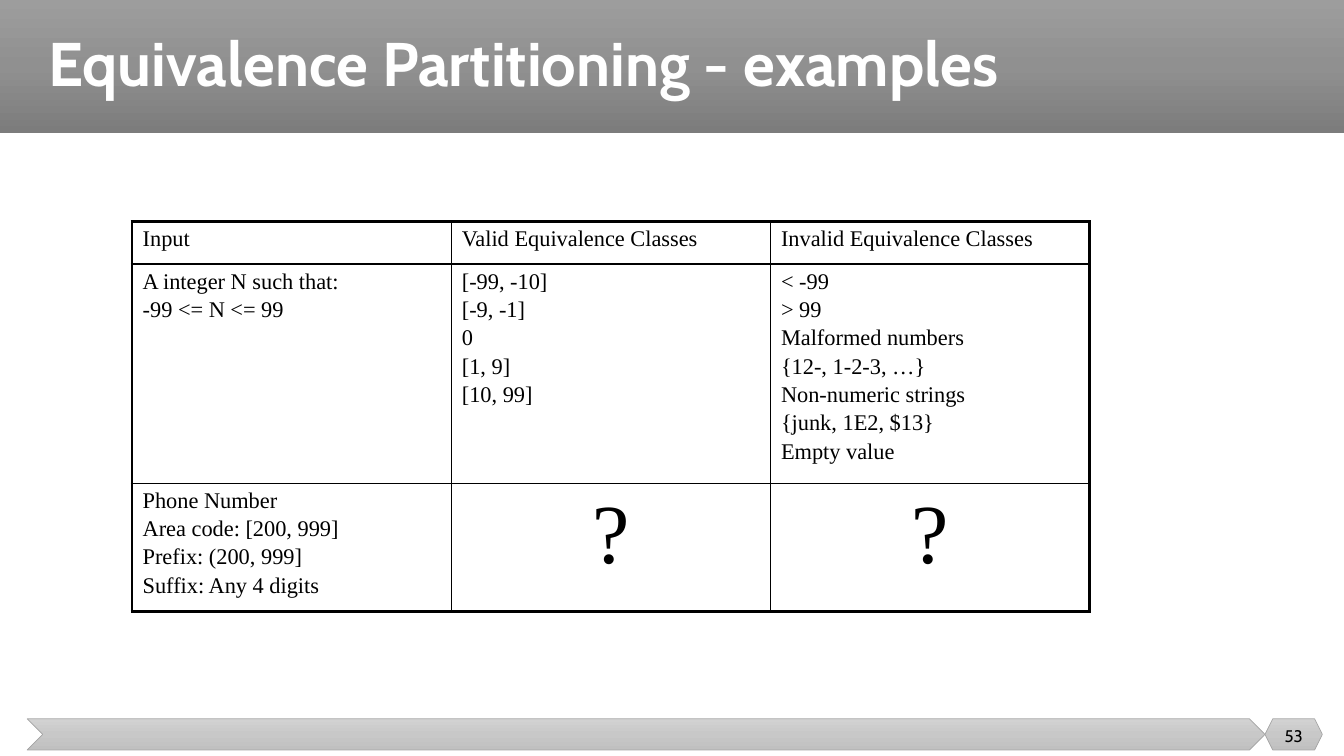
from dataclasses import dataclass

from lxml import etree
from pptx import Presentation
from pptx import util as u
from pptx.dml import color
from pptx.enum import shapes, text
from pptx.oxml import ns


@dataclass(frozen=True)
class Theme:
    title_font: str = "Cabin"
    table_font: str = "Times New Roman"
    white: str = "FFFFFF"
    black: str = "000000"
    outline: str = "A5A5A5"
    header_stops: tuple = ("9D9D9D", "909090", "7C7C7C")
    footer_stops: tuple = ("D2D2D2", "C8C8C8", "C0C0C0")
    title_size: float = 44
    table_size: float = 16
    question_size: float = 60
    number_size: float = 12
    thin: float = 1
    thick: float = 2.25


THEME = Theme()
PAGE_WIDTH, PAGE_HEIGHT = 960, 540

TABLE_ROWS = [
    ["Input", "Valid Equivalence Classes", "Invalid Equivalence Classes"],
    ["A integer N such that:\n-99 <= N <= 99",
     "[-99, -10]\n[-9, -1]\n0\n[1, 9]\n[10, 99]",
     "< -99\n> 99\nMalformed numbers\n{12-, 1-2-3, …}\n"
     "Non-numeric strings\n{junk, 1E2, $13}\nEmpty value"],
    ["Phone Number\nArea code: [200, 999]\nPrefix: (200, 999]\nSuffix: Any 4 digits",
     "?", "?"],
]
ROW_HEIGHTS = [30.24, 150.8, 87.8]


def write(frame, content, *, font, size, ink=THEME.black, bold=False,
          align=text.PP_ALIGN.LEFT, before=0, line=1.0):
    """Fill a text frame, one paragraph for each line of content."""
    frame.word_wrap = True
    for index, words in enumerate(content.split("\n")):
        para = frame.paragraphs[0] if index == 0 else frame.add_paragraph()
        para.alignment = align
        para.space_before = u.Pt(before)
        para.line_spacing = line
        span = para.add_run()
        span.text = words
        span.font.name = font
        span.font.size = u.Pt(size)
        span.font.bold = bold
        span.font.color.rgb = color.RGBColor.from_string(ink)


def add_text(page, box, content, **style):
    frame = page.shapes.add_textbox(*map(u.Pt, box)).text_frame
    frame.vertical_anchor = text.MSO_ANCHOR.MIDDLE
    write(frame, content, **style)


def add_band(page, kind, box, stops, outline=None):
    """Add a shape shaded from top to bottom through evenly spaced stops."""
    band = page.shapes.add_shape(kind, *map(u.Pt, box))
    band.shadow.inherit = False
    band.fill.gradient()
    band.fill.gradient_angle = 270
    stop_list = band.element.spPr.find(".//" + ns.qn("a:gsLst"))
    for old_stop in list(stop_list):
        stop_list.remove(old_stop)
    for index, shade in enumerate(stops):
        position = str(index * 100000 // (len(stops) - 1))
        stop = etree.SubElement(stop_list, ns.qn("a:gs"), pos=position)
        etree.SubElement(stop, ns.qn("a:srgbClr"), val=shade)
    if outline:
        band.line.color.rgb = color.RGBColor.from_string(outline)
        band.line.width = u.Pt(0.5)
    else:
        band.line.fill.background()


def set_borders(cell, widths):
    """Draw the left, right, top and bottom borders of a cell."""
    properties = cell._tc.get_or_add_tcPr()
    for index, (side, width) in enumerate(zip("LRTB", widths)):
        border = etree.Element(ns.qn("a:ln" + side), w=str(u.Pt(width)))
        fill = etree.SubElement(border, ns.qn("a:solidFill"))
        etree.SubElement(fill, ns.qn("a:srgbClr"), val=THEME.black)
        properties.insert(index, border)


def add_header(page, box, title):
    left, top, width, height = box
    add_band(page, shapes.MSO_SHAPE.RECTANGLE, box, THEME.header_stops)
    add_text(page, (left + 27.4, top, width - 42.7, height), title,
             font=THEME.title_font, size=THEME.title_size, ink=THEME.white,
             bold=True, line=0.9)


def add_class_table(page, box):
    left, top, width, height = box
    row_count, column_count = len(TABLE_ROWS), len(TABLE_ROWS[0])
    table = page.shapes.add_table(row_count, column_count, *map(u.Pt, box)).table
    table.first_row = table.horz_banding = False
    for column in table.columns:
        column.width = u.Pt(width / column_count)
    for r, contents in enumerate(TABLE_ROWS):
        table.rows[r].height = u.Pt(ROW_HEIGHTS[r])
        for c, content in enumerate(contents):
            cell = table.cell(r, c)
            cell.fill.background()
            cell.margin_left = cell.margin_right = u.Pt(7.6)
            cell.margin_top = cell.margin_bottom = u.Pt(3.6)
            question = content == "?"
            write(cell.text_frame, content, font=THEME.table_font,
                  size=THEME.question_size if question else THEME.table_size,
                  align=text.PP_ALIGN.CENTER if question else text.PP_ALIGN.LEFT,
                  before=2.5)
            outer = (c == 0, c == column_count - 1, r == 0, r == row_count - 1)
            set_borders(cell, [THEME.thick if edge else THEME.thin for edge in outer])


def add_footer(page, box, number):
    left, top, width, height = box
    badge_width = 41
    badge_left = left + width - badge_width
    add_band(page, shapes.MSO_SHAPE.CHEVRON, (left, top, width - badge_width, height),
             THEME.footer_stops, THEME.outline)
    add_band(page, shapes.MSO_SHAPE.HEXAGON, (badge_left, top, badge_width, height),
             THEME.footer_stops, THEME.outline)
    add_text(page, (badge_left, top - 2.2, badge_width, 28.8), number,
             font=THEME.title_font, size=THEME.number_size,
             align=text.PP_ALIGN.CENTER)


def main():
    deck = Presentation()
    deck.slide_width, deck.slide_height = u.Pt(PAGE_WIDTH), u.Pt(PAGE_HEIGHT)
    page = deck.slides.add_slide(deck.slide_layouts[6])
    add_header(page, (0, 0, PAGE_WIDTH, 95), "Equivalence Partitioning - examples")
    add_class_table(page, (94.3, 158.4, 684, sum(ROW_HEIGHTS)))
    add_footer(page, (19.4, 513.4, 925.2, 22.3), "53")
    deck.save("out.pptx")


if __name__ == "__main__":
    main()
